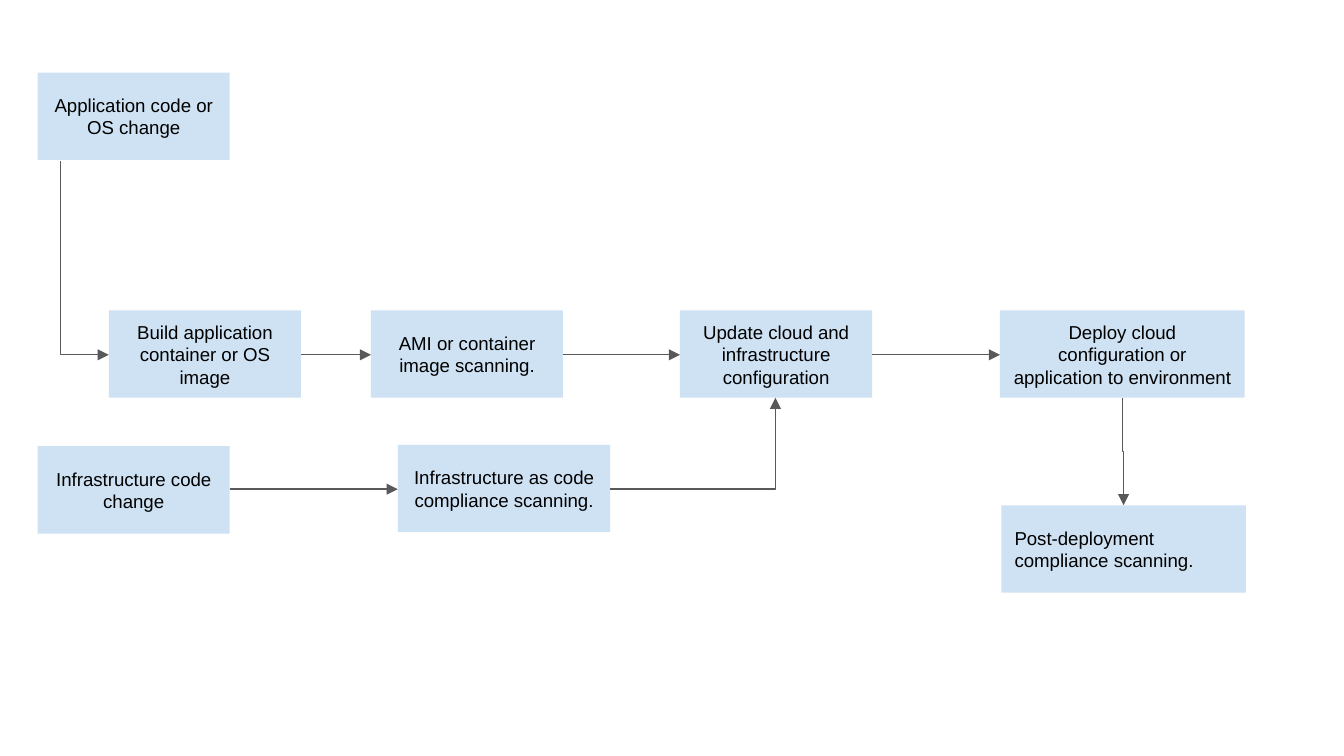
from lxml import etree
from pptx import Presentation
from pptx.dml.color import RGBColor
from pptx.enum import shapes, text
from pptx.oxml import ns
from pptx.util import Inches, Pt

BOX_BLUE = RGBColor(0xCF, 0xE2, 0xF3)
ARROW_GRAY = RGBColor(0x59, 0x59, 0x59)
BLACK = RGBColor(0, 0, 0)
BOX_HEIGHT = 0.65
CENTER = text.PP_ALIGN.CENTER
LEFT = text.PP_ALIGN.LEFT


def write_text(shape, content, size=10, font="Arial", color=BLACK, align=CENTER):
    frame = shape.text_frame
    frame.word_wrap = True
    frame.vertical_anchor = text.MSO_ANCHOR.MIDDLE
    frame.margin_left = frame.margin_right = Inches(0.1)
    frame.margin_top = frame.margin_bottom = Inches(0.1)
    paragraph = frame.paragraphs[0]
    paragraph.alignment = align
    run = paragraph.add_run()
    run.text = content
    run.font.size = Pt(size)
    run.font.name = font
    run.font.color.rgb = color


presentation = Presentation()
presentation.slide_width = Inches(10)
presentation.slide_height = Inches(10) * 9 // 16
slide = presentation.slides.add_slide(presentation.slide_layouts[6])

steps = [
    ("Build application container or OS image", 0.81, 2.31, 1.43, CENTER),
    ("Deploy cloud configuration or application to environment", 7.44, 2.31, 1.82, CENTER),
    ("Update cloud and infrastructure configuration", 5.06, 2.31, 1.43, CENTER),
    ("Application code or OS change", 0.28, 0.54, 1.43, CENTER),
    ("Infrastructure code change", 0.28, 3.32, 1.43, CENTER),
    ("Infrastructure as code compliance scanning.", 2.96, 3.31, 1.58, CENTER),
    ("AMI or container image scanning.", 2.76, 2.31, 1.43, CENTER),
    ("Post-deployment compliance scanning.", 7.45, 3.76, 1.82, LEFT),
]
for label, left, top, width, align in steps:
    box = slide.shapes.add_shape(
        shapes.MSO_SHAPE.RECTANGLE,
        Inches(left), Inches(top), Inches(width), Inches(BOX_HEIGHT),
    )
    box.shadow.inherit = False
    box.fill.solid()
    box.fill.fore_color.rgb = BOX_BLUE
    box.line.fill.background()
    write_text(box, label, align=align)

arrows = [
    (1.71, 3.64, 2.96, 3.64, "bentConnector3", False),
    (2.24, 2.64, 2.76, 2.64, "bentConnector3", False),
    (6.49, 2.64, 7.44, 2.64, "bentConnector3", False),
    (4.54, 3.64, 5.77, 2.96, "bentConnector2", False),
    (0.45, 1.2, 0.81, 2.64, "bentConnector2", True),
    (8.35, 2.96, 8.36, 3.76, "bentConnector3", True),
    (4.19, 2.64, 5.06, 2.64, "bentConnector3", False),
]
for start_x, start_y, end_x, end_y, bend, leaves_downward in arrows:
    points = (start_x, start_y, end_x, end_y)
    if leaves_downward:
        middle_x, middle_y = (start_x + end_x) / 2, (start_y + end_y) / 2
        half_x, half_y = (end_x - start_x) / 2, (end_y - start_y) / 2
        points = (middle_x + half_y, middle_y - half_x, middle_x - half_y, middle_y + half_x)
    arrow = slide.shapes.add_connector(
        shapes.MSO_CONNECTOR.ELBOW, *[Inches(value) for value in points]
    )
    arrow.line.color.rgb = ARROW_GRAY
    arrow.line.width = Pt(0.75)
    properties = arrow._element.spPr
    properties.find(ns.qn("a:prstGeom")).set("prst", bend)
    if leaves_downward:
        properties.find(ns.qn("a:xfrm")).set("rot", str(270 * 60000))
    etree.SubElement(properties.find(ns.qn("a:ln")), ns.qn("a:tailEnd"), type="triangle")
    etree.SubElement(properties, ns.qn("a:effectLst"))

presentation.save("out.pptx")
